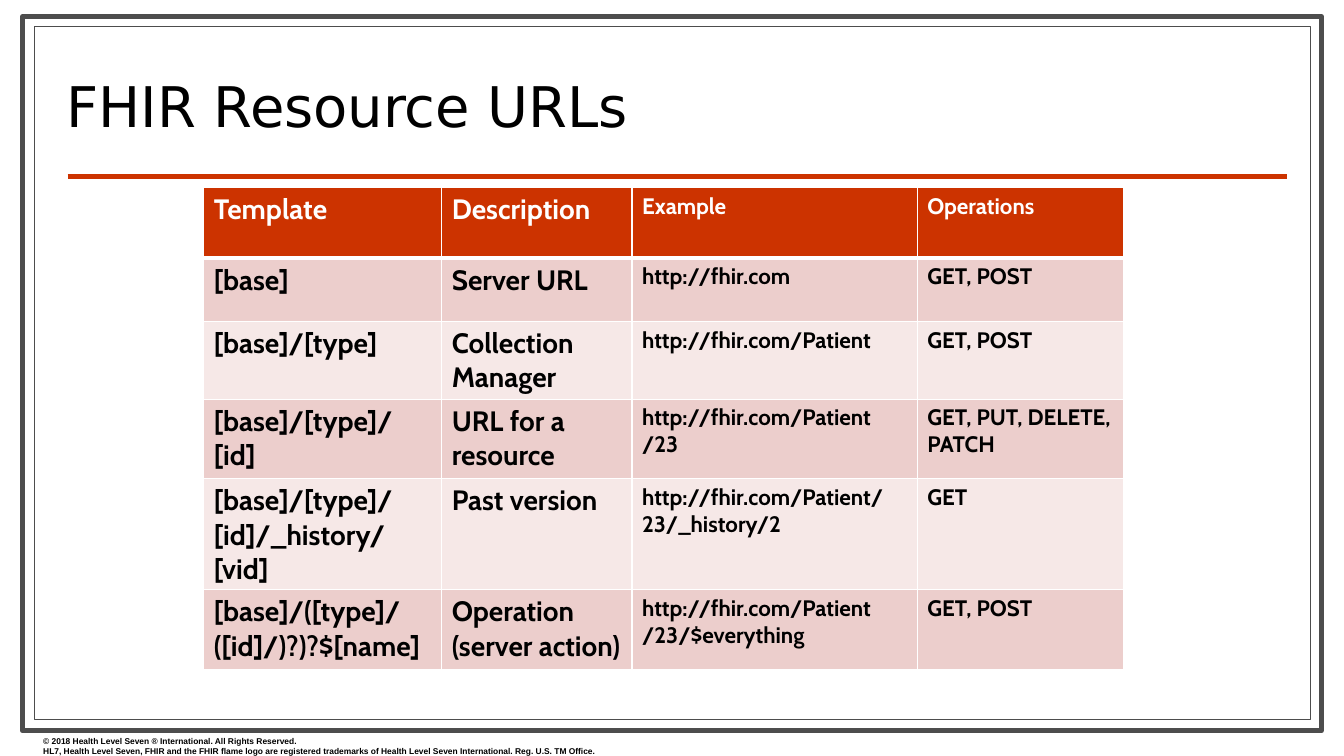
import pptx
import pptx.dml.color
import pptx.enum.shapes
import pptx.enum.text
import pptx.util
from lxml import etree

Pt = pptx.util.Pt
RGB = pptx.dml.color.RGBColor
Shape = pptx.enum.shapes.MSO_SHAPE
Anchor = pptx.enum.text.MSO_ANCHOR

BLACK = RGB(0x00, 0x00, 0x00)
WHITE = RGB(0xFF, 0xFF, 0xFF)
GRAY = RGB(0x4D, 0x4D, 0x4D)
RED = RGB(0xCC, 0x33, 0x00)
ROSE = RGB(0xEC, 0xCE, 0xCC)
PALE = RGB(0xF6, 0xE8, 0xE7)
NS = "http://schemas.openxmlformats.org/drawingml/2006/main"

COLS = [170, 136, 203.8, 147.6]
HEIGHTS = [50.4, 45.4, 55.4, 56.9, 56.9, 56.9]
ROWS = [
    ["Template", "Description", "Example", "Operations"],
    ["[base]", "Server URL", "http://fhir.com", "GET, POST"],
    ["[base]/[type]", "Collection Manager", "http://fhir.com/Patient",
     "GET, POST"],
    ["[base]/[type]/[id]", "URL for a resource",
     "http://fhir.com/Patient\n/23", "GET, PUT, DELETE, PATCH"],
    ["[base]/[type]/[id]/_history/[vid]", "Past version",
     "http://fhir.com/Patient/23/_history/2", "GET"],
    ["[base]/([type]/([id]/)?)?$[name]", "Operation (server action)",
     "http://fhir.com/Patient\v/23/$everything", "GET, POST"],
]
RIGHTS = [
    "© 2018 Health Level Seven ® International. All Rights Reserved.",
    "HL7, Health Level Seven, FHIR and the FHIR flame logo are registered "
    "trademarks of Health Level Seven International. Reg. U.S. TM Office.",
]


def style(frame, face, size, color, bold=False):
    for para in frame.paragraphs:
        for run in para.runs:
            font = run.font
            font.name, font.size, font.bold = face, Pt(size), bold
            font.color.rgb = color


def add_box(slide, left, top, width, height, weight):
    box = slide.shapes.add_shape(Shape.RECTANGLE, Pt(left), Pt(top),
                                 Pt(width), Pt(height))
    box.shadow.inherit = False
    box.fill.solid()
    box.fill.fore_color.rgb = WHITE
    box.line.color.rgb = GRAY
    box.line.width = Pt(weight)


def add_frame(slide, left, top, width, height):
    """Draw the double border: a thick outline and a thin one inside it."""
    add_box(slide, left, top, width, height, 3.5)
    add_box(slide, left + 8.4, top + 6.7, width - 16.6, height - 14.4, 0.75)


def add_rule(slide, left, top, width):
    rule = slide.shapes.add_connector(
        pptx.enum.shapes.MSO_CONNECTOR.STRAIGHT,
        Pt(left), Pt(top), Pt(left + width), Pt(top))
    rule.line.color.rgb = RED
    rule.line.width = Pt(3)
    etree.SubElement(rule.element.spPr, f"{{{NS}}}effectLst")


def add_text(slide, left, top, width, height, text):
    box = slide.shapes.add_textbox(Pt(left), Pt(top), Pt(width), Pt(height))
    frame = box.text_frame
    frame.word_wrap = True
    frame.text = text
    return frame


def add_title(slide, left, top, width, height):
    frame = add_text(slide, left, top, width, height, "FHIR Resource URLs")
    frame.vertical_anchor = Anchor.BOTTOM
    frame.paragraphs[0].line_spacing = 0.8
    style(frame, "DejaVu Sans", 40, BLACK)


def add_rights(slide, left, top, width, height):
    frame = add_text(slide, left, top, width, height, "\n".join(RIGHTS))
    style(frame, "Arial", 6, BLACK, True)


def set_edges(cell, base):
    """Give the cell white borders, the lower one of the given weight."""
    props = cell._tc.get_or_add_tcPr()
    for spot, side in enumerate("LRTB"):
        weight = base if side == "B" else 1
        line = etree.Element(f"{{{NS}}}ln{side}", w=str(Pt(weight)))
        fill = etree.SubElement(line, f"{{{NS}}}solidFill")
        etree.SubElement(fill, f"{{{NS}}}srgbClr", val=str(WHITE))
        props.insert(spot, line)


def add_grid(slide, left, top):
    shape = slide.shapes.add_table(len(ROWS), len(COLS), Pt(left), Pt(top),
                                   Pt(sum(COLS)), Pt(sum(HEIGHTS)))
    table = shape.table
    for col, width in zip(table.columns, COLS):
        col.width = Pt(width)
    for r, (row, height) in enumerate(zip(ROWS, HEIGHTS)):
        table.rows[r].height = Pt(height)
        head = r == 0
        shade = RED if head else ROSE if r % 2 else PALE
        for c, text in enumerate(row):
            cell = table.cell(r, c)
            cell.text_frame.text = text
            style(cell.text_frame, "Cabin", 20 if c < 2 else 16,
                  WHITE if head else BLACK, True)
            cell.fill.solid()
            cell.fill.fore_color.rgb = shade
            set_edges(cell, 3 if head else 1)


def main():
    deck = pptx.Presentation()
    deck.slide_width, deck.slide_height = Pt(960), Pt(540)
    slide = deck.slides.add_slide(deck.slide_layouts[6])
    add_frame(slide, 16, 12, 928, 510)
    add_rule(slide, 48.3, 126, 871)
    add_rights(slide, 23.8, 522, 463.7, 21.6)
    add_title(slide, 40.4, 37.4, 734.4, 64.8)
    add_grid(slide, 145.5, 134)
    deck.save("out.pptx")


if __name__ == "__main__":
    main()
